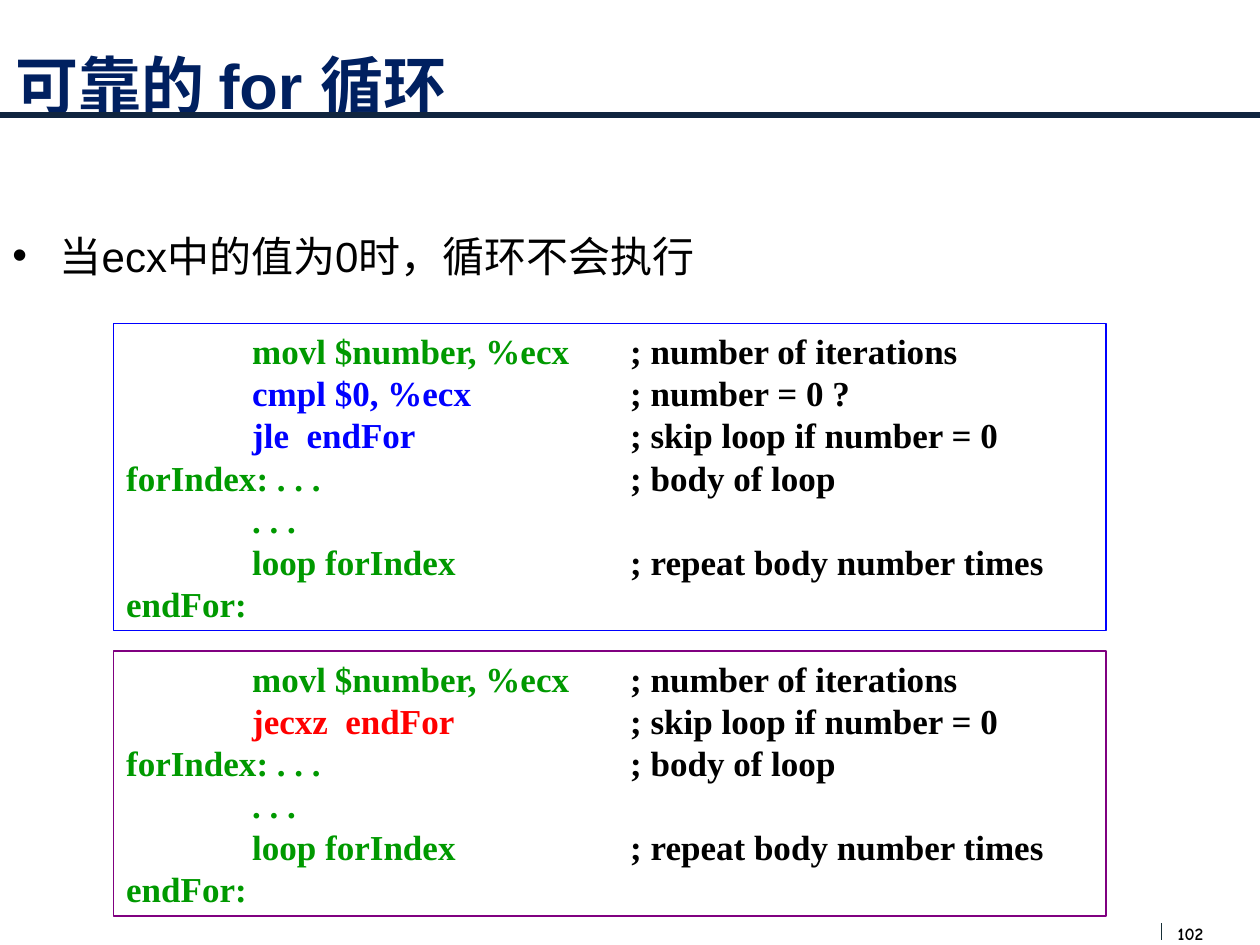
from dataclasses import dataclass

from lxml.etree import SubElement
from pptx import Presentation
from pptx.dml.color import RGBColor
from pptx.enum.shapes import MSO_CONNECTOR, MSO_SHAPE
from pptx.enum.text import MSO_ANCHOR, MSO_AUTO_SIZE, PP_ALIGN
from pptx.oxml.ns import qn
from pptx.util import Pt

BLACK = RGBColor(0x00, 0x00, 0x00)
NAVY = RGBColor(0x00, 0x20, 0x60)
RULE_NAVY = RGBColor(0x10, 0x25, 0x3F)
SLATE = RGBColor(0x17, 0x2F, 0x37)
GREEN = RGBColor(0x00, 0x99, 0x00)
BLUE = RGBColor(0x00, 0x00, 0xFF)
RED = RGBColor(0xFF, 0x00, 0x00)
PURPLE = RGBColor(0x80, 0x00, 0x80)

TAB_STEP = 72
TAB_COUNT = 7


@dataclass(frozen=True)
class CodeLine:
    code: str
    comment: str = ""
    color: RGBColor = GREEN


@dataclass(frozen=True)
class Listing:
    top: float
    height: float
    border: RGBColor
    lines: tuple[CodeLine, ...]


def add_run(paragraph, text: str, font: str, size: float, color: RGBColor,
            bold: bool = False) -> None:
    run = paragraph.add_run()
    run.text = text
    run.font.name = font
    run.font.size = Pt(size)
    run.font.bold = bold
    run.font.color.rgb = color


def add_rule(slide, x1: float, y1: float, x2: float, y2: float,
             color: RGBColor, width: float) -> None:
    rule = slide.shapes.add_connector(
        MSO_CONNECTOR.STRAIGHT, Pt(x1), Pt(y1), Pt(x2), Pt(y2))
    rule.line.color.rgb = color
    rule.line.width = Pt(width)
    SubElement(rule._element.spPr, qn("a:effectLst"))


def add_text_box(slide, left: float, top: float, width: float, height: float):
    frame = slide.shapes.add_textbox(
        Pt(left), Pt(top), Pt(width), Pt(height)).text_frame
    frame.word_wrap = True
    return frame


def set_tabs(paragraph) -> None:
    tabs = SubElement(paragraph._p.get_or_add_pPr(), qn("a:tabLst"))
    for stop in range(1, TAB_COUNT + 1):
        SubElement(tabs, qn("a:tab"), pos=str(Pt(stop * TAB_STEP)), algn="l")


def add_listing(slide, listing: Listing) -> None:
    box = slide.shapes.add_shape(
        MSO_SHAPE.RECTANGLE, Pt(65), Pt(listing.top), Pt(567), Pt(listing.height))
    box.shadow.inherit = False
    box.fill.background()
    box.line.color.rgb = listing.border
    box.line.width = Pt(0.75)
    frame = box.text_frame
    frame.word_wrap = True
    frame.vertical_anchor = MSO_ANCHOR.TOP
    for index, line in enumerate(listing.lines):
        paragraph = frame.add_paragraph() if index else frame.paragraphs[0]
        set_tabs(paragraph)
        paragraph.alignment = PP_ALIGN.LEFT
        paragraph.line_spacing = Pt(24)
        add_run(paragraph, line.code, "Times New Roman", 20, line.color, True)
        if line.comment:
            add_run(paragraph, line.comment, "Times New Roman", 20, BLACK, True)


# Code shared by both versions of the loop
SETUP = CodeLine("\tmovl $number, %ecx \t", "; number of iterations")
LOOP = (
    CodeLine("forIndex: . . . \t\t\t", "; body of loop"),
    CodeLine("\t. . ."),
    CodeLine("\tloop forIndex \t\t", "; repeat body number times"),
    CodeLine("endFor:"),
)
SKIP_COMMENT = "; skip loop if number = 0"
LISTINGS = (
    Listing(185, 175.5, BLUE, (
        SETUP,
        CodeLine("\tcmpl $0, %ecx \t\t", "; number = 0 ?", BLUE),
        CodeLine("\tjle  endFor \t\t", SKIP_COMMENT, BLUE),
        *LOOP)),
    Listing(372, 151.5, PURPLE, (
        SETUP,
        CodeLine("\tjecxz  endFor\t\t", SKIP_COMMENT, RED),
        *LOOP)),
)


def main() -> None:
    deck = Presentation()
    deck.slide_width, deck.slide_height = Pt(720), Pt(540)
    slide = deck.slides.add_slide(deck.slide_layouts[5])

    # Header rule and page number
    add_rule(slide, 0, 65.75, 720, 65.75, RULE_NAVY, 3)
    add_rule(slide, 663.75, 527.5, 663.75, 537, SLATE, 0.75)
    page_number = add_text_box(slide, 673, 527.5, 24.5, 12.5)
    page_number.margin_left = page_number.margin_right = 0
    page_number.margin_top = page_number.margin_bottom = 0
    add_run(page_number.paragraphs[0], "102", "Comic Neue", 10, BLACK, True)

    # Title
    title = slide.shapes.title
    title.left, title.top = Pt(1.5), Pt(12)
    title.width, title.height = Pt(613.5), Pt(72)
    title.text_frame.auto_size = MSO_AUTO_SIZE.NONE
    title.text_frame.vertical_anchor = MSO_ANCHOR.MIDDLE
    heading = title.text_frame.paragraphs[0]
    heading.alignment = PP_ALIGN.LEFT
    add_run(heading, "可靠的 for 循环", "Arial", 36, NAVY, True)

    # Bulleted statement
    statement = add_text_box(slide, 0, 128, 646.5, 355).paragraphs[0]
    properties = statement._p.get_or_add_pPr()
    properties.set("marL", str(Pt(27)))
    properties.set("indent", str(Pt(-27)))
    SubElement(properties, qn("a:buFont"), typeface="Arial")
    SubElement(properties, qn("a:buChar"), char="•")
    statement.alignment = PP_ALIGN.JUSTIFY
    add_run(statement, "当ecx中的值为0时，循环不会执行", "Arial", 24, BLACK)

    # Code listings
    for listing in LISTINGS:
        add_listing(slide, listing)

    deck.save("out.pptx")


if __name__ == "__main__":
    main()
